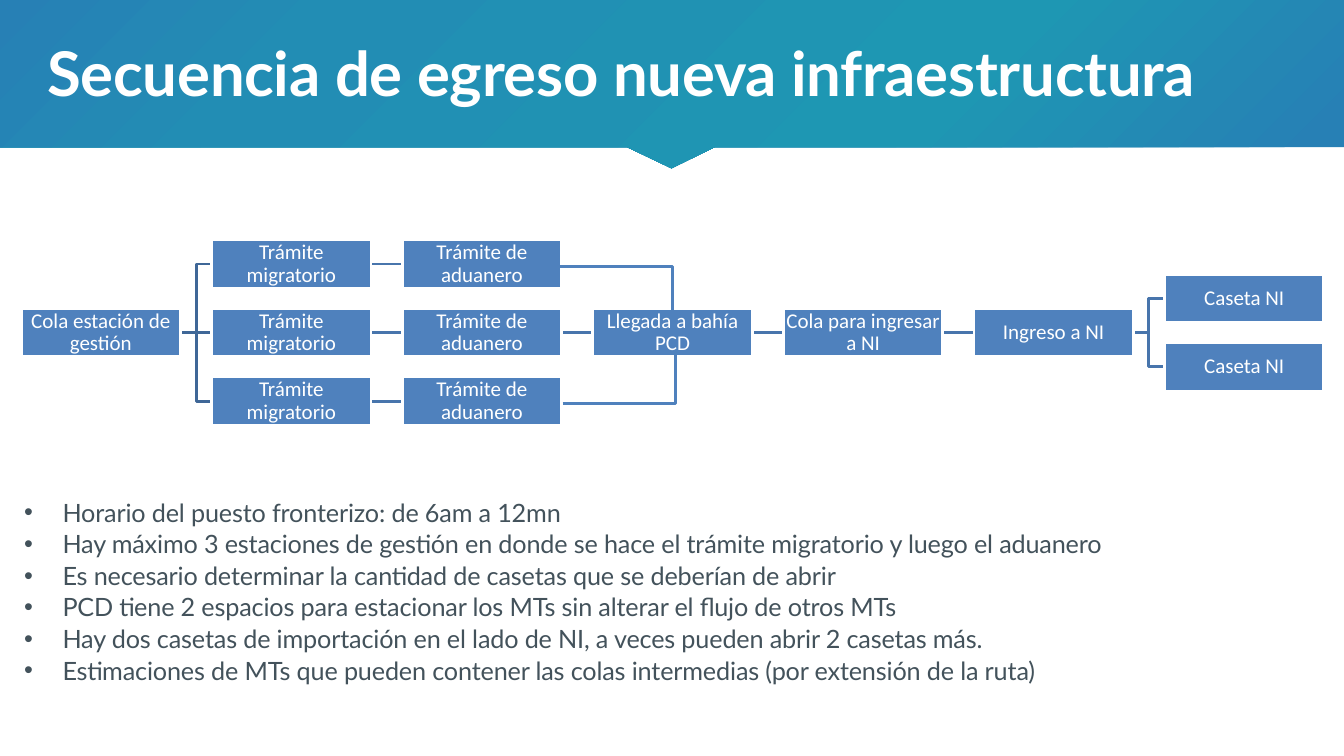
from lxml import etree
from pptx import Presentation
from pptx.dml.color import RGBColor
from pptx.enum import shapes, text
from pptx.oxml import parse_xml
from pptx.oxml.ns import nsdecls, qn
from pptx.util import Inches, Pt

WHITE = RGBColor(0xFF, 0xFF, 0xFF)
SLATE = RGBColor(0x43, 0x52, 0x5B)
STEP_BLUE = RGBColor(0x4F, 0x81, 0xBD)
LINK_BLUE = RGBColor(0x48, 0x75, 0xAC)
FIRST_LINK_BLUE = RGBColor(0x3F, 0x67, 0x97)
BANNER_STOPS = [(0, RGBColor(0x27, 0x80, 0xB5)), (23, RGBColor(0x22, 0x8D, 0xB4)),
                (69, RGBColor(0x1E, 0x97, 0xB3)), (97, RGBColor(0x27, 0x80, 0xB5))]

STEP_WIDTH, STEP_HEIGHT = 1.58, 0.48
COLUMN_LEFT, COLUMN_PITCH = 0.21, 1.89
MIDDLE_ROW, ROW_PITCH = 3.3, 0.68

STEPS = [
    (0, 0, "Cola estación de gestión"),
    *[(1, row, "Trámite migratorio") for row in (-1, 0, 1)],
    *[(2, row, "Trámite de aduanero") for row in (-1, 0, 1)],
    (3, 0, "Llegada a bahía PCD"),
    (4, 0, "Cola para ingresar a NI"),
    (5, 0, "Ingreso a NI"),
    *[(6, row, "Caseta NI") for row in (-0.5, 0.5)],
]
LINKS = [
    *[(0, 0, row) for row in (-1, 1, 0)],
    *[(1, row, row) for row in (-1, 0, 1)],
    *[(column, 0, 0) for column in (2, 3, 4)],
    *[(5, 0, row) for row in (-0.5, 0.5)],
]
NOTES = [
    "Horario del puesto fronterizo: de 6am a 12mn",
    "Hay máximo 3 estaciones de gestión en donde se hace el trámite migratorio y luego el aduanero",
    "Es necesario determinar la cantidad de casetas que se deberían de abrir",
    "PCD tiene 2 espacios para estacionar los MTs sin alterar el flujo de otros MTs",
    "Hay dos casetas de importación en el lado de NI, a veces pueden abrir 2 casetas más.",
    "Estimaciones de MTs que pueden contener las colas intermedias (por extensión de la ruta)",
]


def column_left(column):
    return COLUMN_LEFT + column * COLUMN_PITCH


def row_center(row):
    return MIDDLE_ROW + row * ROW_PITCH


class FlowSlide:
    heading_font = "Lato"
    step_font = "Calibri"

    def __init__(self, slide):
        self.shapes = slide.shapes

    def add_run(self, paragraph, wording, font, size, color, bold=False, spacing=0):
        run = paragraph.add_run()
        run.text = wording
        run.font.name = font
        run.font.size = Pt(size)
        run.font.bold = bold
        run.font.color.rgb = color
        if spacing:
            run.font._element.set("spc", str(spacing))

    def set_margins(self, frame, side, top, bottom):
        frame.word_wrap = True
        frame.margin_left = frame.margin_right = Inches(side)
        frame.margin_top, frame.margin_bottom = Inches(top), Inches(bottom)

    def banner(self):
        builder = self.shapes.build_freeform(Inches(7.09), Inches(1.46))
        pointer = [(6.22, 1.46), (6.66, 1.67)]
        band = [(0, 0), (0, 1.46), (13.33, 1.46)]
        builder.add_line_segments([(Inches(x), Inches(y)) for x, y in pointer])
        builder.move_to(Inches(13.33), 0)
        builder.add_line_segments([(Inches(x), Inches(y)) for x, y in band])
        banner = builder.convert_to_shape()
        banner.shadow.inherit = False
        banner.line.fill.background()
        banner.fill.solid()
        stops = "".join(f'<a:gs pos="{place * 1000}"><a:srgbClr val="{color}"/></a:gs>'
                        for place, color in BANNER_STOPS)
        gradient = parse_xml(
            f'<a:gradFill {nsdecls("a")} rotWithShape="1"><a:gsLst>{stops}</a:gsLst>'
            '<a:path path="circle"><a:fillToRect r="100000" b="100000"/></a:path></a:gradFill>')
        properties = banner._element.spPr
        properties.replace(properties.find(qn("a:solidFill")), gradient)

    def title(self, wording):
        frame = self.shapes.add_textbox(Inches(0.47), Inches(0.3), Inches(12.45), Inches(0.79)).text_frame
        self.set_margins(frame, 0, 0.05, 0)
        self.add_run(frame.paragraphs[0], wording, self.heading_font, 44, WHITE, True, -20)

    def bullets(self, notes):
        frame = self.shapes.add_textbox(Inches(0.23), Inches(4.92), Inches(12.69), Inches(1.9)).text_frame
        self.set_margins(frame, 0, 0.01, 0)
        for index, note in enumerate(notes):
            paragraph = frame.add_paragraph() if index else frame.paragraphs[0]
            paragraph.alignment = text.PP_ALIGN.JUSTIFY
            paragraph.space_before = Pt(1 if index else 0)
            properties = paragraph._p.get_or_add_pPr()
            properties.set("marL", str(Inches(0.39)))
            properties.set("indent", str(Inches(-0.38)))
            etree.SubElement(properties, qn("a:buFont")).set("typeface", "Arial")
            etree.SubElement(properties, qn("a:buChar")).set("char", "•")
            self.add_run(paragraph, note, self.heading_font, 18, SLATE, spacing=-10)

    def step(self, column, row, wording):
        step = self.shapes.add_shape(
            shapes.MSO_SHAPE.RECTANGLE, Inches(column_left(column)),
            Inches(row_center(row) - STEP_HEIGHT / 2), Inches(STEP_WIDTH), Inches(STEP_HEIGHT))
        step.shadow.inherit = False
        step.fill.solid()
        step.fill.fore_color.rgb = STEP_BLUE
        step.line.color.rgb = WHITE
        step.line.width = Pt(2)
        frame = step.text_frame
        self.set_margins(frame, 0.01, 0.01, 0.01)
        frame.vertical_anchor = text.MSO_ANCHOR.MIDDLE
        paragraph = frame.paragraphs[0]
        paragraph.alignment = text.PP_ALIGN.CENTER
        paragraph.line_spacing = 0.9
        self.add_run(paragraph, wording, self.step_font, 15, WHITE)

    def link(self, start, end, color, bend=0.5):
        kind = shapes.MSO_CONNECTOR.STRAIGHT if start[1] == end[1] else shapes.MSO_CONNECTOR.ELBOW
        link = self.shapes.add_connector(kind, *[Inches(length) for length in (*start, *end)])
        link.line.color.rgb = color
        link.line.width = Pt(2)
        properties = link._element.spPr
        etree.SubElement(properties, qn("a:effectLst"))
        if kind == shapes.MSO_CONNECTOR.ELBOW:
            geometry = properties.find(qn("a:prstGeom"))
            guide = etree.SubElement(geometry.find(qn("a:avLst")), qn("a:gd"))
            guide.set("name", "adj1")
            guide.set("fmla", f"val {round(bend * 100000)}")


def main():
    deck = Presentation()
    deck.slide_width, deck.slide_height = Inches(13.33), Inches(7.5)
    flow = FlowSlide(deck.slides.add_slide(deck.slide_layouts[6]))
    flow.banner()
    flow.title("Secuencia de egreso nueva infraestructura")
    flow.bullets(NOTES)
    for column, start_row, end_row in LINKS:
        flow.link((column_left(column) + STEP_WIDTH, row_center(start_row)),
                  (column_left(column + 1), row_center(end_row)),
                  LINK_BLUE if column else FIRST_LINK_BLUE)
    for column, row, wording in STEPS:
        flow.step(column, row, wording)
    flow.link((5.54, 2.64), (6.69, 3.09), STEP_BLUE, 0.98)
    flow.link((5.58, 4), (6.67, 3.5), STEP_BLUE, 1.03)
    deck.save("out.pptx")


if __name__ == "__main__":
    main()
